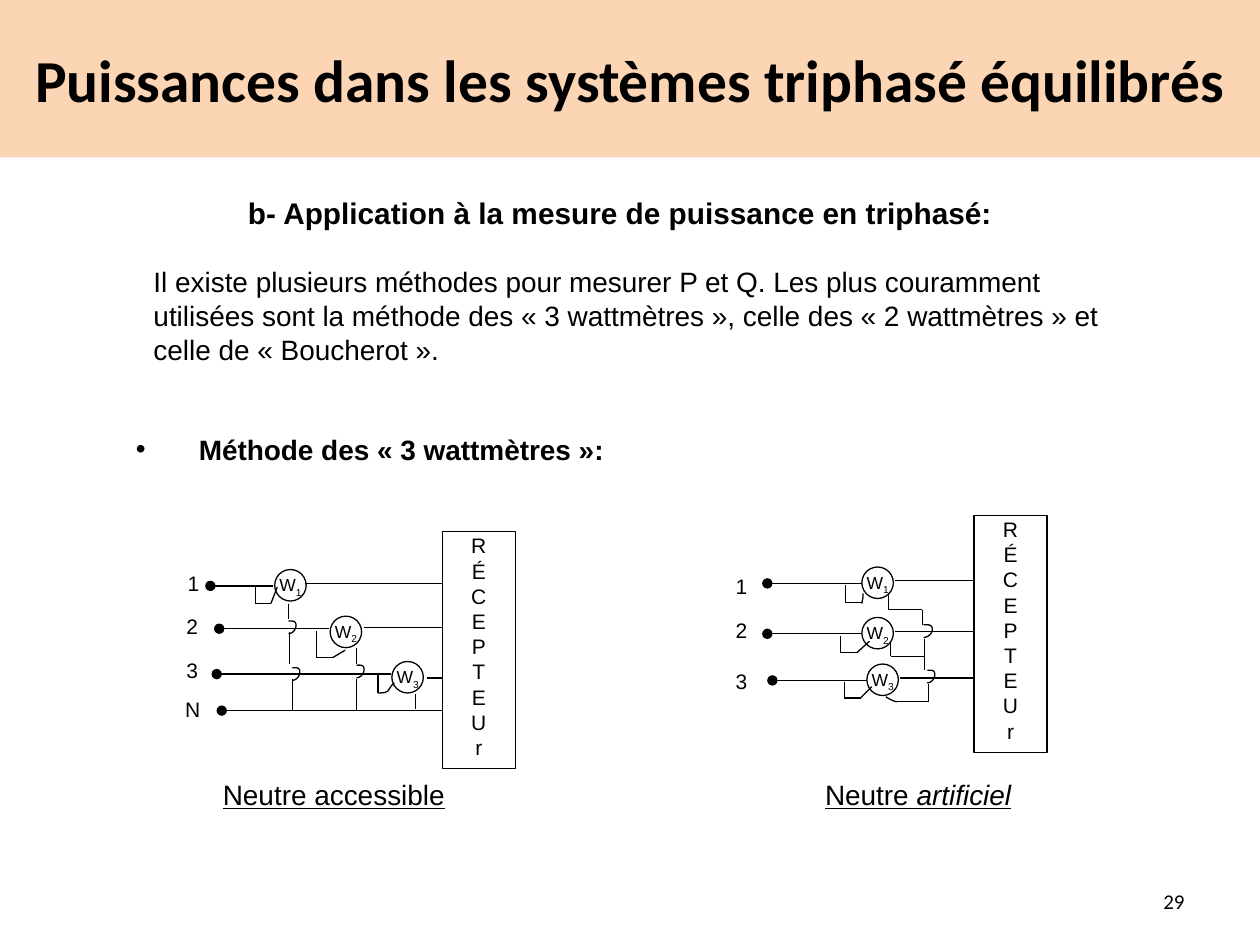
from lxml import etree
from pptx import Presentation
from pptx.dml.color import RGBColor
from pptx.enum.shapes import MSO_CONNECTOR as Link, MSO_SHAPE as Shape
from pptx.enum.text import MSO_ANCHOR as Anchor, PP_ALIGN as Align
from pptx.oxml.ns import qn
from pptx.util import Inches, Pt

BLACK, WHITE, PEACH = "000000", "FFFFFF", "FCD5B5"
DOT = 0.25  # wattmeter diameter


def paint(fmt, color):
    fmt.solid()
    fmt.fore_color.rgb = RGBColor.from_string(color)


def write(para, text, font="Arial", size=12, bold=False, italic=False,
          under=False, sub=False, align=None, before=0):
    """Append one run to a paragraph."""
    run = para.add_run()
    run.text = text
    face = run.font
    face.name, face.size = font, Pt(size)
    face.bold, face.italic, face.underline = bold, italic, under
    paint(face.fill, BLACK)
    if sub:
        face._element.set("baseline", "-25000")
    para.space_before = Pt(before)
    if align is not None:
        para.alignment = align


def box(art, x, y, w, h, wrap=True):
    frame = art.add_textbox(Inches(x), Inches(y), Inches(w), Inches(h)).text_frame
    frame.word_wrap = wrap
    return frame


def indent(para, left, first=0, bullet=None):
    props = para._p.get_or_add_pPr()
    props.set("marL", str(Inches(left)))
    props.set("indent", str(Inches(first)))
    if bullet:
        font = etree.SubElement(props, qn("a:buFont"))
        font.set("typeface", "Arial")
        etree.SubElement(props, qn("a:buChar")).set("char", bullet)


def form(art, kind, x, y, w, h, fill=WHITE, edge=BLACK):
    shape = art.add_shape(kind, Inches(x), Inches(y), Inches(w), Inches(h))
    shape.shadow.inherit = False
    paint(shape.fill, fill)
    if edge:
        paint(shape.line.fill, edge)
        shape.line.width = Pt(0.75)
    else:
        shape.line.fill.background()
    return shape


def wire(art, *points, dot=False):
    """Join the points with straight lines; dot marks a terminal at the start."""
    for (x1, y1), (x2, y2) in zip(points, points[1:]):
        line = art.add_connector(Link.STRAIGHT, Inches(x1), Inches(y1),
                                 Inches(x2), Inches(y2))
        paint(line.line.fill, BLACK)
        line.line.width = Pt(0.75)
        etree.SubElement(line._element.spPr, qn("a:effectLst"))
        if dot:
            head = etree.SubElement(line.line._get_or_add_ln(), qn("a:headEnd"))
            head.set("type", "oval")


def curve(art, start, *arcs, steps=8):
    """Draw a chain of cubic arcs, each given as two controls and an end."""
    points, here = [], start
    for arc in arcs:
        ends = (here, *arc)
        for i in range(1, steps + 1):
            t = i / steps
            mix = ((1 - t) ** 3, 3 * t * (1 - t) ** 2, 3 * t * t * (1 - t), t ** 3)
            points.append(tuple(Inches(sum(m * p[k] for m, p in zip(mix, ends)))
                                for k in (0, 1)))
        here = arc[-1]
    pen = art.build_freeform(Inches(start[0]), Inches(start[1]))
    pen.add_line_segments(points, close=False)
    shape = pen.convert_to_shape()
    shape.shadow.inherit = False
    shape.fill.background()
    paint(shape.line.fill, BLACK)
    shape.line.width = Pt(0.75)


def hop(art, x, y, w=0.08, h=0.1):
    """Draw the bump of a wire that crosses another one."""
    curve(art, (x, y), ((x + w / 3, y), (x + w, y - 0.01), (x + w, y + h / 3)),
          ((x + w, y + h * 0.7), (x + w / 2, y + h), (x, y + h)))


def meters(art, spots):
    for x, y in spots:
        form(art, Shape.OVAL, x, y, DOT, DOT)


def names(art, spots):
    for n, (x, y) in enumerate(spots, 1):
        para = box(art, x - 0.06, y - 0.01, 0.53, 0.4).paragraphs[0]
        write(para, "W", size=10, before=6)
        write(para, str(n), size=10, sub=True, before=6)


def labels(art, spots):
    for text, x, y in spots:
        write(box(art, x, y, 0.38, 0.33).paragraphs[0], text, before=6)


def load(art, x, y):
    frame = form(art, Shape.RECTANGLE, x, y, 0.58, 1.88).text_frame
    frame.word_wrap = True
    frame.vertical_anchor = Anchor.TOP
    frame.margin_left = frame.margin_right = Inches(0.06)
    frame.margin_top = frame.margin_bottom = Inches(0.01)
    for i, letter in enumerate("RÉCEPTEUr"):
        para = frame.add_paragraph() if i else frame.paragraphs[0]
        write(para, letter, align=Align.CENTER)


def neutral(art):
    """Circuit whose neutral wire can be reached."""
    spots = [(2.18, 4.52), (2.62, 4.89), (3.11, 5.25)]
    meters(art, spots)
    for x1, x2, y in [(1.67, 2.17, 4.65), (1.74, 2.61, 4.99),
                      (1.72, 3.1, 5.35), (1.76, 3.51, 5.64)]:
        wire(art, (x1, y), (x2, y), dot=True)
    for x1, x2, y in [(2.42, 3.54, 4.63), (2.89, 3.51, 4.98), (3.39, 3.51, 5.38)]:
        wire(art, (x1, y), (x2, y))
    wire(art, (2.03, 4.65), (2.03, 4.79), (2.15, 4.79), (2.2, 4.66))
    wire(art, (2.51, 5.01), (2.51, 5.22), (2.64, 5.22), (2.74, 5.16))
    wire(art, (3, 5.36), (3, 5.5))
    curve(art, (3, 5.5), ((3.02, 5.5), (3.05, 5.5), (3.07, 5.49)),
          ((3.09, 5.48), (3.1, 5.44), (3.13, 5.42)))
    for x, y1, y2 in [(2.29, 4.79, 4.91), (2.3, 5.02, 5.27), (2.32, 5.39, 5.64),
                      (2.83, 5.14, 5.27), (2.83, 5.39, 5.64), (3.3, 5.51, 5.63)]:
        wire(art, (x, y1), (x, y2))
    for x, y in [(2.29, 4.93), (2.32, 5.3), (2.83, 5.28)]:
        hop(art, x, y, w=0.06)
    load(art, 3.51, 4.22)
    labels(art, [("1", 1.39, 4.48), ("2", 1.38, 4.82),
                 ("3", 1.38, 5.17), ("N", 1.37, 5.48)])
    names(art, spots)
    para = box(art, 1.67, 6.12, 1.98, 0.37, wrap=False).paragraphs[0]
    write(para, "Neutre accessible", size=16, under=True)


def star(art):
    """Circuit whose neutral point is made by the wattmeters."""
    spots = [(6.84, 4.5), (6.84, 4.9), (6.88, 5.27)]
    meters(art, spots)
    for (x, _), y in zip(spots, (4.63, 5.03, 5.4)):
        wire(art, (x - 0.75, y), (x, y), dot=True)
        wire(art, (x + 0.26, y - 0.02), (x + 1.01, y - 0.02))
    wire(art, (6.71, 4.64), (6.71, 4.78), (6.84, 4.78))
    curve(art, (6.84, 4.79), ((6.85, 4.73), (6.85, 4.76), (6.85, 4.71)))
    wire(art, (6.67, 5.05), (6.67, 5.18), (6.8, 5.18), (6.9, 5.09))
    wire(art, (6.7, 5.41), (6.7, 5.54), (6.83, 5.54), (6.92, 5.45))
    wire(art, (7.05, 4.71), (7.05, 4.84), (7.32, 4.84), (7.32, 4.96))
    wire(art, (7.07, 5.09), (7.07, 5.21), (7.34, 5.21))
    wire(art, (7.34, 5.07), (7.34, 5.32))
    wire(art, (7.37, 5.43), (7.37, 5.57), (7.12, 5.57))
    curve(art, (7.12, 5.57), ((7.1, 5.57), (7.06, 5.55), (7.03, 5.53)))
    hop(art, 7.33, 4.96, w=0.07)
    hop(art, 7.36, 5.32, w=0.06)
    load(art, 7.73, 4.09)
    labels(art, [("1", 5.74, 4.5), ("2", 5.74, 4.85), ("3", 5.74, 5.26)])
    names(art, spots)
    para = box(art, 6.45, 6.12, 1.7, 0.37, wrap=False).paragraphs[0]
    write(para, "Neutre ", size=16, under=True)
    write(para, "artificiel", size=16, under=True, italic=True)


def body(art):
    frame = box(art, 0.87, 1.5, 8.27, 2.4)
    head, intro, method = (frame.paragraphs[0], frame.add_paragraph(),
                           frame.add_paragraph())
    write(head, "b- Application à la mesure de puissance en triphasé:",
          size=17, bold=True, align=Align.JUSTIFY)
    indent(head, 1)
    write(intro, "Il existe plusieurs méthodes pour mesurer P et Q. Les plus "
          "couramment utilisées sont la méthode des « 3 wattmètres », celle des "
          "« 2 wattmètres » et celle de « Boucherot ».", size=16, before=19.5)
    indent(intro, 0.25)
    write(method, "Méthode des « 3 wattmètres »:", size=16, bold=True, before=38)
    indent(method, 0.61, -0.5, "•")


def main():
    deck = Presentation()
    deck.slide_width, deck.slide_height = Inches(10), Inches(7.5)
    art = deck.slides.add_slide(deck.slide_layouts[6]).shapes
    band = form(art, Shape.RECTANGLE, 0, 0, 10, 1.25, fill=PEACH, edge=None)
    band.text_frame.word_wrap = True
    band.text_frame.vertical_anchor = Anchor.MIDDLE
    write(band.text_frame.paragraphs[0],
          "Puissances dans les systèmes triphasé équilibrés",
          font="Calibri", size=34, bold=True, align=Align.CENTER)
    body(art)
    neutral(art.add_group_shape().shapes)
    star(art.add_group_shape().shapes)
    page = box(art, 7.17, 6.95, 2.33, 0.4)
    page.vertical_anchor = Anchor.MIDDLE
    write(page.paragraphs[0], "29", font="Calibri", align=Align.RIGHT)
    deck.save("out.pptx")


if __name__ == "__main__":
    main()
